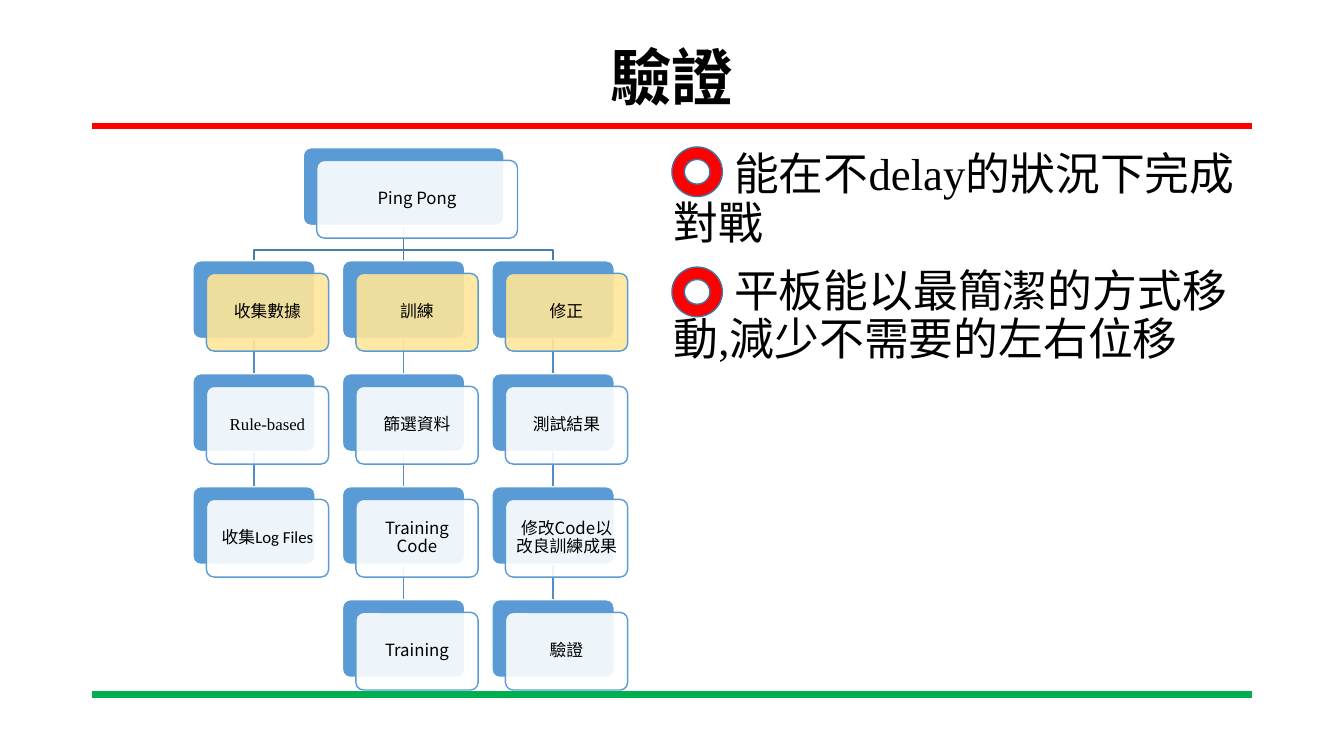
from lxml import etree
from pptx import Presentation
from pptx.dml.color import RGBColor
from pptx.enum.shapes import MSO_CONNECTOR, MSO_SHAPE
from pptx.enum.text import MSO_ANCHOR, PP_ALIGN
from pptx.oxml.ns import qn
from pptx.util import Emu, Pt

STRAIGHT = MSO_CONNECTOR.STRAIGHT
ROUND, DONUT = MSO_SHAPE.ROUNDED_RECTANGLE, MSO_SHAPE.DONUT
MIDDLE, TOP = MSO_ANCHOR.MIDDLE, MSO_ANCHOR.TOP
CENTER, LEFT = PP_ALIGN.CENTER, PP_ALIGN.LEFT

RED = RGBColor(0xFF, 0x00, 0x00)
GREEN = RGBColor(0x00, 0xB0, 0x50)
BLUE = RGBColor(0x5B, 0x9B, 0xD5)
STEEL = RGBColor(0x53, 0x8D, 0xC1)
NAVY = RGBColor(0x49, 0x7C, 0xAB)
RIM = RGBColor(0x43, 0x73, 0x9E)
CREAM = RGBColor(0xFF, 0xE6, 0x99)
WHITE = RGBColor(0xFF, 0xFF, 0xFF)
BLACK = RGBColor(0x00, 0x00, 0x00)

SERIF, SANS, CJK = "Times New Roman", "Calibri", "Noto Sans CJK TC"

COLS, ROWS = 160, 90
UNIT = 76200
MID, STEP_X = 48.05, 17.8
HEAD, STEP_Y = 17.6, 13.45
CARD_W, CARD_H, ROOT_W = 14.55, 9.25, 23.9
SHIFT_X, SHIFT_Y = 1.6, 1.5
BEND = 1.3
INSET = 0.9

ROOT = ("Ping Pong", CJK)
STAGES = [
    [("收集數據", SANS), ("Rule-based", SERIF), ("收集Log Files", SANS)],
    [("訓練", SANS), ("篩選資料", CJK), ("Training Code", CJK), ("Training", CJK)],
    [("修正", CJK), ("測試結果", CJK), ("修改Code以改良訓練成果", CJK), ("驗證", CJK)],
]
GOALS = ["能在不delay的狀況下完成對戰", "平板能以最簡潔的方式移動,減少不需要的左右位移"]


def grid(*cells):
    return [Emu(round(cell * UNIT)) for cell in cells]


def row_top(row):
    return HEAD + row * STEP_Y


def col_mid(col):
    return MID + (col - 1) * STEP_X


def write(frame, lines, size, face, bold=False, align=CENTER, anchor=MIDDLE):
    frame.word_wrap = True
    frame.vertical_anchor = anchor
    frame.text = "\n".join(lines)
    for para in frame.paragraphs:
        para.alignment = align
        para.line_spacing = 0.9
        for run in para.runs:
            font = run.font
            font.size, font.bold, font.name = Pt(size), bold, face
            font.color.rgb = BLACK
            east = etree.SubElement(run._r.get_or_add_rPr(), qn("a:ea"))
            east.set("typeface", CJK)


def add_rule(slide, start, end, color, width):
    line = slide.shapes.add_connector(STRAIGHT, *grid(*start, *end))
    line.line.color.rgb = color
    line.line.width = Pt(width)
    etree.SubElement(line._element.spPr, qn("a:effectLst"))


def add_bend(slide, start, end):
    turn = end[1] - BEND
    points = [grid(*spot) for spot in ((start[0], turn), (end[0], turn), end)]
    build = slide.shapes.build_freeform(*grid(*start))
    build.add_line_segments(points, close=False)
    bend = build.convert_to_shape()
    bend.shadow.inherit = False
    bend.fill.background()
    bend.line.color.rgb = NAVY
    bend.line.width = Pt(1)


def add_form(slide, kind, place, fill, edge):
    form = slide.shapes.add_shape(kind, *grid(*place))
    form.shadow.inherit = False
    form.fill.solid()
    form.fill.fore_color.rgb = fill
    form.line.color.rgb = edge
    form.line.width = Pt(1)
    return form


def add_card(slide, mid, row, width, label, tint):
    left, top = mid - width / 2, row_top(row)
    back = add_form(slide, ROUND, (left, top, width, CARD_H), BLUE, WHITE)
    place = (left + SHIFT_X, top + SHIFT_Y, width, CARD_H)
    front = add_form(slide, ROUND, place, tint, BLUE)
    for form in (back, front):
        form.adjustments[0] = 0.1
    shade = front._element.spPr.find(qn("a:solidFill"))[0]
    etree.SubElement(shade, qn("a:alpha")).set("val", "90000")
    frame = front.text_frame
    frame.margin_left, frame.margin_right = grid(INSET, INSET)
    frame.margin_top, frame.margin_bottom = grid(INSET, INSET)
    text, face = label
    write(frame, [text], 12, face)


def add_links(slide):
    for col, stage in enumerate(STAGES):
        mid = col_mid(col)
        for row in range(len(stage)):
            start = (MID if row == 0 else mid, row_top(row) + CARD_H)
            end = (mid, row_top(row + 1))
            if start[0] != mid:
                add_bend(slide, start, end)
            else:
                add_rule(slide, start, end, STEEL if row else NAVY, 1)


def add_tree(slide):
    add_links(slide)
    add_card(slide, MID, 0, ROOT_W, ROOT, WHITE)
    for col, stage in enumerate(STAGES):
        for row, label in enumerate(stage, 1):
            tint = CREAM if row == 1 else WHITE
            add_card(slide, col_mid(col), row, CARD_W, label, tint)


def add_title(slide):
    box = slide.shapes.add_textbox(*grid(11, 4.8, 138, 9.5))
    write(box.text_frame, ["驗證"], 44, SERIF, bold=True)


def add_goals(slide):
    box = slide.shapes.add_textbox(*grid(79, 17.5, 70, 64.7))
    write(box.text_frame, GOALS, 32, SERIF, align=LEFT, anchor=TOP)
    for num, para in enumerate(box.text_frame.paragraphs):
        para.space_before, para.space_after = Pt(12), Pt(2)
        para._p.get_or_add_pPr().set("indent", str(grid(7.2)[0]))
        add_form(slide, DONUT, (80, 17.5 + num * 14.3, 6, 5.9), RED, RIM)


def main():
    deck = Presentation()
    deck.slide_width, deck.slide_height = grid(COLS, ROWS)
    slide = deck.slides.add_slide(deck.slide_layouts[6])
    for row, color in ((15, RED), (82.7, GREEN)):
        add_rule(slide, (11, row), (149, row), color, 4.5)
    add_title(slide)
    add_tree(slide)
    add_goals(slide)
    deck.save("out.pptx")


main()
